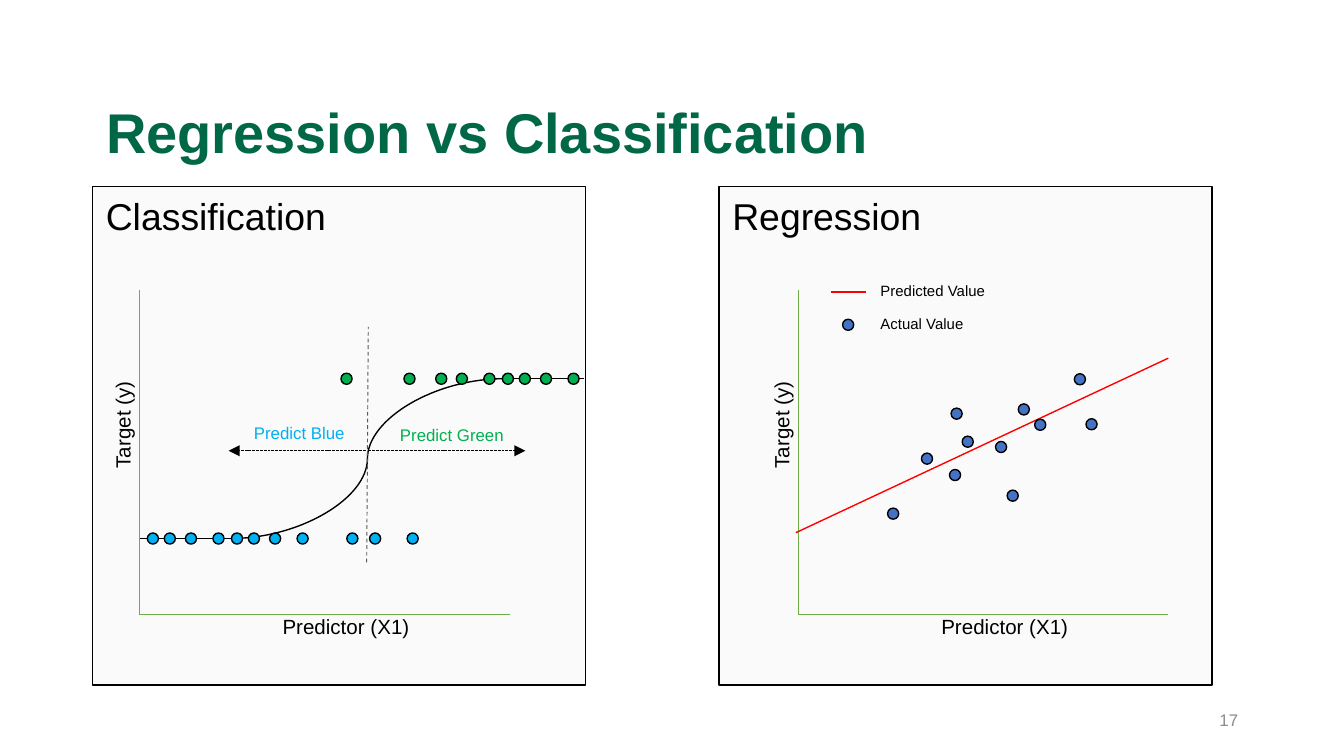
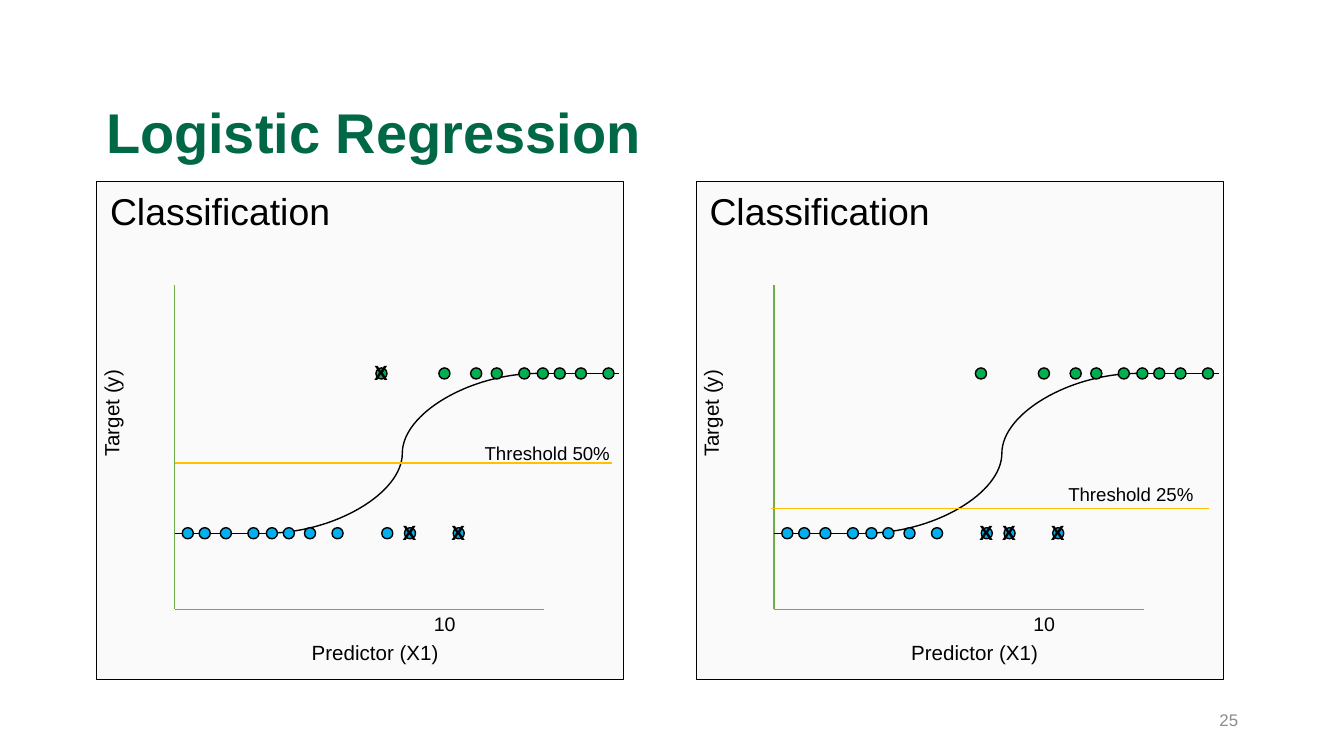
from dataclasses import dataclass

from lxml import etree
from pptx import Presentation
from pptx import util as u
from pptx.dml.color import RGBColor
from pptx.enum import dml, shapes, text
from pptx.oxml import ns


@dataclass(frozen=True)
class Theme:
    font: str = "Arial"
    title: str = "006747"
    ink: str = "000000"
    muted: str = "8C8C8C"
    panel: str = "FAFAFA"
    axis: str = "70AD47"
    fit: str = "FF0000"
    actual: str = "4472C4"
    blue: str = "00B0F0"
    green: str = "00B050"
    divider: str = "595959"
    threshold: str = "FFC000"
    title_size: float = 30
    heading_size: float = 20
    label_size: float = 11
    tick_size: float = 10.5
    threshold_size: float = 10
    note_size: float = 9
    legend_size: float = 8
    line: float = 0.75
    thin: float = 0.5


# Plot positions are centimetres right of and above the axis origin.
LOW, HIGH = 1.44, 4.46
DOT = 0.21
GREEN_DOTS = (3.91, 5.10, 5.70, 6.09, 6.61, 6.96, 7.28, 7.68, 8.20)
BLUE_DOTS = (0.25, 0.57, 0.97, 1.49, 1.84, 2.16, 2.56, 3.08, 4.02, 4.45)
ACTUAL_VALUES = (
    (1.79, 1.91), (2.43, 2.95), (2.96, 2.64), (3.20, 3.27),
    (3.83, 3.17), (2.99, 3.80), (4.05, 2.25), (4.26, 3.88),
    (4.57, 3.59), (5.32, 4.45), (5.54, 3.60),
)


class Page:
    """One slide, its theme and the origin of the current plot."""

    def __init__(self, presentation, theme, title, number):
        self.theme = theme
        self.slide = presentation.slides.add_slide(presentation.slide_layouts[5])
        self.origin = (0, 0)
        self.title(title)
        self.number(number)

    def place(self, x, height):
        return u.Cm(self.origin[0] + x), u.Cm(self.origin[1] - height)

    def set_text(self, shape, words, size, color, bold=False,
                 align=text.PP_ALIGN.LEFT, anchor=text.MSO_ANCHOR.TOP, wrap=True):
        frame = shape.text_frame
        frame.text = words
        frame.word_wrap = wrap
        frame.vertical_anchor = anchor
        paragraph = frame.paragraphs[0]
        paragraph.alignment = align
        font = paragraph.font
        font.name, font.size, font.bold = self.theme.font, u.Pt(size), bold
        font.color.rgb = RGBColor.from_string(color)
        return paragraph

    def title(self, words):
        shape = self.slide.shapes.title
        shape.left, shape.top = u.Cm(1.75), u.Cm(1.6)
        shape.width, shape.height = u.Cm(21.9), u.Cm(1.93)
        paragraph = self.set_text(shape, words, self.theme.title_size, self.theme.title,
                                  bold=True, anchor=text.MSO_ANCHOR.MIDDLE)
        paragraph.line_spacing = 0.9
        shape.text_frame.auto_size = text.MSO_AUTO_SIZE.NONE

    def number(self, number):
        box = self.slide.shapes.add_textbox(u.Cm(17.93), u.Cm(13.23), u.Cm(5.72), u.Cm(0.76))
        self.set_text(box, str(number), self.theme.note_size, self.theme.muted,
                      align=text.PP_ALIGN.RIGHT, anchor=text.MSO_ANCHOR.MIDDLE)

    def filled(self, kind, left, top, width, height, color):
        shape = self.slide.shapes.add_shape(kind, left, top, u.Cm(width), u.Cm(height))
        shape.shadow.inherit = False
        shape.fill.solid()
        shape.fill.fore_color.rgb = RGBColor.from_string(color)
        shape.line.color.rgb = RGBColor.from_string(self.theme.ink)
        shape.line.width = u.Pt(self.theme.line)
        return shape

    def panel(self, heading, left, top, width, axis_offset):
        """Draw a framed panel and set the plot origin inside it."""
        shape = self.filled(shapes.MSO_SHAPE.RECTANGLE, u.Cm(left), u.Cm(top),
                            width, 9.42, self.theme.panel)
        self.set_text(shape, heading, self.theme.heading_size, self.theme.ink)
        self.origin = (left + axis_offset, top + 8.09)

    def label(self, words, x, height, size, box, color=None, rotation=0,
              bold=False, wrap=False):
        """Add a text box whose top left corner is at x, height."""
        width, tall = box
        shape = self.slide.shapes.add_textbox(*self.place(x, height), u.Cm(width), u.Cm(tall))
        shape.rotation = rotation
        self.set_text(shape, words, size, color or self.theme.ink, bold, wrap=wrap)
        shape.text_frame.auto_size = text.MSO_AUTO_SIZE.SHAPE_TO_FIT_TEXT

    def line(self, start, end, color, width=None, dash=None, arrow=False,
             kind=shapes.MSO_CONNECTOR.STRAIGHT):
        connector = self.slide.shapes.add_connector(kind, *self.place(*start), *self.place(*end))
        connector.line.color.rgb = RGBColor.from_string(color)
        connector.line.width = u.Pt(width or self.theme.line)
        if dash:
            connector.line.dash_style = dash
        properties = connector._element.spPr
        if arrow:
            outline = properties.find(ns.qn("a:ln"))
            etree.SubElement(outline, ns.qn("a:tailEnd"), type="triangle")
        etree.SubElement(properties, ns.qn("a:effectLst"))

    def dot(self, x, height, color):
        corner = self.place(x - DOT / 2, height + DOT / 2)
        self.filled(shapes.MSO_SHAPE.OVAL, *corner, DOT, DOT, color)

    def cross(self, x, height):
        """Mark a wrongly classified dot."""
        self.label("X", x - 0.39, height + 0.38, self.theme.label_size, (0.79, 0.74), bold=True)

    def axes(self, predictor_at, target_at):
        theme = self.theme
        self.line((0, 6.13), (0, 0), theme.axis)
        self.line((6.99, 0), (0, 0), theme.axis, theme.thin)
        self.label("Predictor (X1)", *predictor_at, theme.label_size, (2.92, 0.74))
        self.label("Target (y)", *target_at, theme.label_size, (2.21, 0.74), rotation=270)

    def sigmoid(self):
        ink = self.theme.ink
        self.line((0, LOW), (1.78, LOW), ink)
        self.line((1.73, LOW), (6.88, HIGH), ink, kind=shapes.MSO_CONNECTOR.CURVE)
        self.line((6.88, HIGH), (8.4, HIGH), ink)

    def classes(self, last_blue):
        for x in GREEN_DOTS:
            self.dot(x, HIGH, self.theme.green)
        for x in (*BLUE_DOTS, last_blue):
            self.dot(x, LOW, self.theme.blue)


def add_comparison(presentation, theme):
    page = Page(presentation, theme, "Regression vs Classification", 17)
    predictor_at, target_at = (2.45, 0.13), (-1.42, 3.99)

    page.panel("Classification", 1.75, 3.53, 9.32, 0.89)
    page.axes(predictor_at, target_at)
    page.sigmoid()
    page.line((4.29, 0.99), (4.32, 5.44), theme.divider, theme.thin, dml.MSO_LINE.DASH)
    for start, end in ((4.32, 7.29), (4.27, 1.68)):
        page.line((start, 3.1), (end, 3.1), theme.ink, theme.thin,
                  dml.MSO_LINE.SQUARE_DOT, arrow=True)
    page.label("Predict Blue", 1.91, 3.76, theme.note_size, (2.24, 0.64), theme.blue)
    page.label("Predict Green", 4.67, 3.71, theme.note_size, (2.49, 0.64), theme.green)
    page.classes(last_blue=5.16)

    page.panel("Regression", 13.59, 3.53, 9.32, 1.5)
    page.axes(predictor_at, target_at)
    page.line((-0.05, 1.55), (6.99, 4.85), theme.fit)
    for x, height in ACTUAL_VALUES:
        page.dot(x, height, theme.actual)
    page.line((0.61, 6.1), (1.27, 6.1), theme.fit)
    page.dot(0.94, 5.48, theme.actual)
    page.label("Predicted Value", 1.3, 6.43, theme.legend_size, (2.54, 0.61))
    page.label("Actual Value", 1.3, 5.79, theme.legend_size, (2.13, 0.61))


def add_thresholds(presentation, theme):
    page = Page(presentation, theme, "Logistic Regression", 25)
    missed_blue = [(4.45, LOW), (5.37, LOW)]
    # panel left, threshold text, line start, label corner, missed dots
    panels = (
        (1.83, "Threshold 50%", (0, 2.77), (5.61, 3.3), missed_blue + [(3.91, HIGH)]),
        (13.16, "Threshold 25%", (-0.05, 1.91), (5.31, 2.51), missed_blue + [(4.02, LOW)]),
    )
    for left, words, start, corner, missed in panels:
        page.panel("Classification", left, 3.43, 9.96, 1.47)
        page.axes((2.34, -0.46), (-2.29, 4.11))
        page.sigmoid()
        page.classes(last_blue=5.37)
        page.label("10", 4.65, 0.08, theme.tick_size, (2.49, 0.74), wrap=True)
        page.line(start, (start[0] + 8.27, start[1]), theme.threshold)
        page.label(words, *corner, theme.threshold_size, (2.9, 0.69))
        for x, height in missed:
            page.cross(x, height)


def main():
    presentation = Presentation()
    presentation.slide_width, presentation.slide_height = u.Cm(25.4), u.Cm(14.29)
    theme = Theme()
    add_comparison(presentation, theme)
    add_thresholds(presentation, theme)
    presentation.save("out.pptx")


if __name__ == "__main__":
    main()
